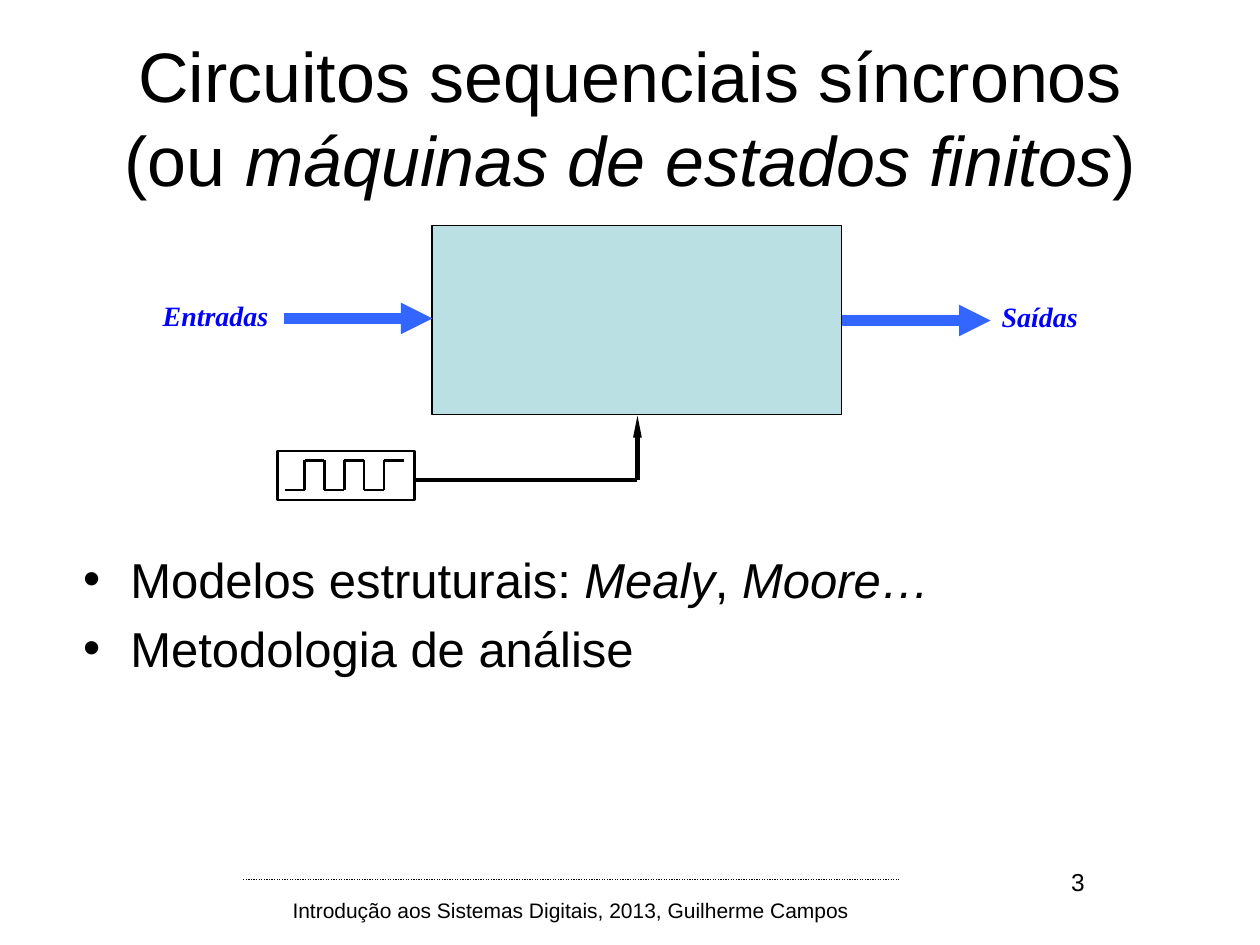
import itertools
from dataclasses import dataclass

import pptx
import pptx.dml.color
import pptx.enum.dml
import pptx.enum.shapes
import pptx.enum.text
import pptx.oxml
import pptx.oxml.ns
import pptx.util
from lxml import etree

Cm = pptx.util.Cm
Align = pptx.enum.text.PP_ALIGN
RECTANGLE = pptx.enum.shapes.MSO_SHAPE.RECTANGLE
qn = pptx.oxml.ns.qn


@dataclass
class Theme:
    black: str = "000000"
    block_fill: str = "BBE0E3"
    arrow: str = "3366FF"
    signal: str = "0000FF"
    font: str = "Arial"
    signal_font: str = "Times New Roman"
    title_size: int = 40
    body_size: int = 28
    signal_size: int = 16
    number_size: int = 14
    footer_size: int = 12


theme = Theme()


def write_text(shape, paragraphs, size, font=theme.font, color=theme.black,
               align=None, anchor=None, bold=False):
    frame = shape.text_frame
    frame.word_wrap = True
    frame.auto_size = pptx.enum.text.MSO_AUTO_SIZE.NONE
    if anchor is not None:
        frame.vertical_anchor = anchor
    for index, pieces in enumerate(paragraphs):
        paragraph = frame.add_paragraph() if index else frame.paragraphs[0]
        paragraph.alignment = align
        for text, italic in pieces:
            if text == "\n":
                line_break = etree.SubElement(paragraph._p, qn("a:br"))
                etree.SubElement(line_break, qn("a:rPr"), sz=str(size * 100))
                continue
            run = paragraph.add_run()
            run.text = text
            run.font.name = font
            run.font.size = pptx.util.Pt(size)
            run.font.bold = bold
            run.font.italic = italic
            run.font.color.rgb = pptx.dml.color.RGBColor.from_string(color)


def draw_line(shapes, start, end, width, color=theme.black, head=None, dash=None):
    connector = shapes.add_connector(
        pptx.enum.shapes.MSO_CONNECTOR.STRAIGHT,
        *(Cm(value) for value in start + end))
    connector.line.width = pptx.util.Pt(width)
    connector.line.color.rgb = pptx.dml.color.RGBColor.from_string(color)
    if dash is not None:
        connector.line.dash_style = dash
    if head:
        head_width, head_length = head
        etree.SubElement(connector.line._get_or_add_ln(), qn("a:tailEnd"),
                         type="triangle", w=head_width, len=head_length)
    etree.SubElement(connector._element.spPr, qn("a:effectLst"))


presentation = pptx.Presentation()
presentation.slide_width = Cm(25.4)
presentation.slide_height = Cm(19.05)
slide = presentation.slides.add_slide(presentation.slide_layouts[1])
shapes = slide.shapes

title = shapes.title
title.left, title.top, title.width, title.height = Cm(1.27), Cm(0.76), Cm(22.86), Cm(3.18)
write_text(title,
           [[("Circuitos sequenciais síncronos", False), ("\n", False), ("(ou ", False),
             ("máquinas de estados finitos", True), (")", False)]],
           size=theme.title_size, align=Align.CENTER,
           anchor=pptx.enum.text.MSO_ANCHOR.MIDDLE)

body = slide.placeholders[1]
body.left, body.top, body.width, body.height = Cm(1.42), Cm(10.95), Cm(23.32), Cm(3.35)
write_text(body,
           [[("Modelos estruturais: ", False), ("Mealy", True), (", ", False), ("Moore…", True)],
            [("Metodologia de análise", False)]],
           size=theme.body_size)

draw_line(shapes, (4.9, 17.73), (18.11, 17.73), 0.75,
          dash=pptx.enum.dml.MSO_LINE.ROUND_DOT)

signal = dict(size=theme.signal_size, font=theme.signal_font,
              color=theme.signal, align=Align.CENTER, bold=True)
labels = [
    ("Introdução aos Sistemas Digitais, 2013, Guilherme Campos", False,
     (5.11, 17.96, 12.8, 0.79), dict(size=theme.footer_size, align=Align.CENTER)),
    ("3", False, (19.1, 17.35, 3.02, 1.32), dict(size=theme.number_size, align=Align.RIGHT)),
    ("Entradas", True, (2.95, 5.89, 2.79, 0.86), signal),
    ("Saídas", True, (19.84, 5.92, 2.24, 0.86), signal),
]
for text, italic, box, text_format in labels:
    label = shapes.add_textbox(*(Cm(value) for value in box))
    write_text(label, [[(text, italic)]], **text_format)

clock = shapes.add_group_shape()
circuit_block = shapes.add_shape(RECTANGLE, Cm(8.71), Cm(4.55), Cm(8.26), Cm(3.81))
clock_frame = clock.shapes.add_shape(RECTANGLE, Cm(5.59), Cm(9.09), Cm(2.77), Cm(0.99))
for box, width in ((circuit_block, 0.75), (clock_frame, 1.5)):
    box.shadow.inherit = False
    box.line.color.rgb = pptx.dml.color.RGBColor.from_string(theme.black)
    box.line.width = pptx.util.Pt(width)
circuit_block.fill.solid()
circuit_block.fill.fore_color.rgb = pptx.dml.color.RGBColor.from_string(theme.block_fill)
clock_frame.fill.background()

for start_x, y in ((5.72, 6.42), (16.97, 6.46)):
    draw_line(shapes, (start_x, y), (start_x + 3, y), 6, theme.arrow, head=("med", "med"))
draw_line(shapes, (8.35, 9.68), (12.85, 9.68), 2.5)
draw_line(shapes, (12.85, 9.68), (12.85, 8.38), 2.5, head=("sm", "lg"))

wave_left, wave_step, wave_low, wave_high = 5.74, 0.4, 9.88, 9.28
wave_points = []
for step in range(6):
    level = wave_high if step % 2 else wave_low
    left = wave_left + step * wave_step
    wave_points += [(left, level), (left + wave_step, level)]
for start, end in itertools.pairwise(wave_points):
    draw_line(clock.shapes, start, end, 1.5)

presentation.save("out.pptx")
